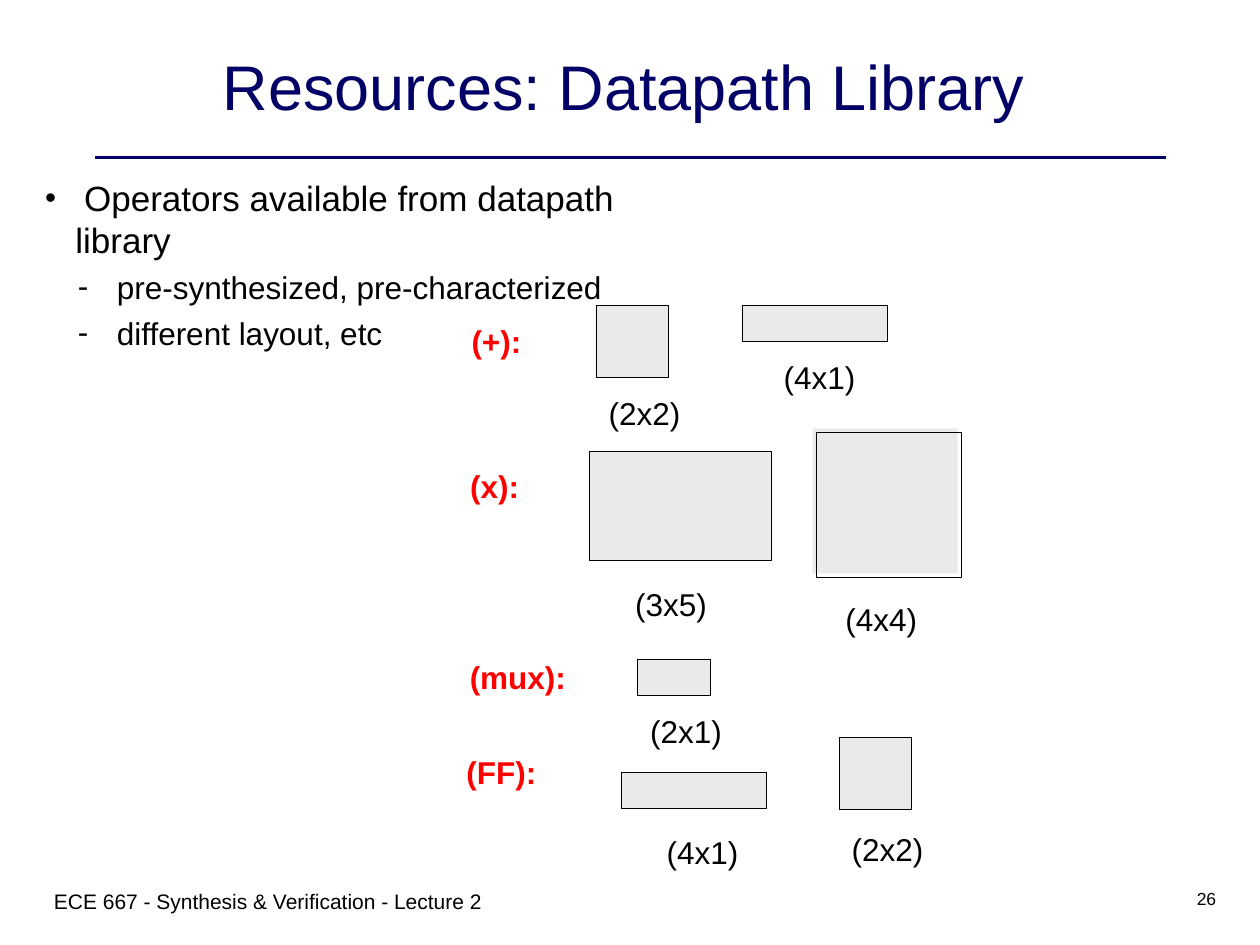
from lxml import etree
from pptx import Presentation
from pptx import util as u
from pptx.dml.color import RGBColor
from pptx.enum import shapes, text
from pptx.oxml import ns

COLOURS = {"navy": "000066", "black": "000000", "red": "FF0000", "tile": "EAEAEA"}
FONT = "Arial"
GRID = 0.1  # inches per column and row: 100 columns by 75 rows
CELL = 14.4 / 5  # grid columns per unit of operator size

# operator: label box, then tiles as (units wide, units high, tile corner,
# caption corner, outline offset), all in grid columns and rows of the region
OPERATORS = {
    "(+):": ((0.4, 1.4, 4), [(2, 2, (10.3, 0), (11.3, 7.1), 0),
                             (4, 1, (21.9, 0), (25.2, 4.2), 0)]),
    "(x):": ((0.3, 12.9, 3.9), [(5, 3, (9.8, 11.6), (13.4, 22.2), 0),
                                (4, 4, (27.5, 9.8), (30.1, 23.4), 0.3)]),
    "(mux):": ((0.2, 28, 7.8), [(2, 1, (13.6, 28.1), (14.6, 32.3), 0)]),
    "(FF):": ((0, 35.6, 5.6), [(4, 1, (12.3, 37.1), (15.9, 41.9), 0),
                               (2, 2, (29.6, 34.3), (30.6, 41.7), 0)]),
}
CAPTIONS = {(5, 3): "(3x5)"}  # the only size named height first


def colour(name):
    return RGBColor.from_string(COLOURS[name])


def grid(*lengths):
    return [u.Inches(length * GRID) for length in lengths]


def add_span(para, words, size, ink="black", bold=False):
    span = para.add_run()
    span.text = words
    span.font.name, span.font.size, span.font.bold = FONT, u.Pt(size), bold
    span.font.color.rgb = colour(ink)


def add_box(page, box, margins=(1, 0.5), wrap=True):
    frame = page.shapes.add_textbox(*grid(*box)).text_frame
    frame.word_wrap = wrap
    frame.margin_left = frame.margin_right = grid(margins[0])[0]
    frame.margin_top = frame.margin_bottom = grid(margins[1])[0]
    return frame


def add_line_of_text(page, box, words, size, ink="black", align=text.PP_ALIGN.LEFT):
    para = add_box(page, box).paragraphs[0]
    para.alignment = align
    add_span(para, words, size, ink)


def add_label(page, box, words, ink="black", bold=False):
    frame = add_box(page, box, (0, 0), wrap=False)
    frame.auto_size = text.MSO_AUTO_SIZE.SHAPE_TO_FIT_TEXT
    para = frame.paragraphs[0]
    para.alignment = text.PP_ALIGN.CENTER
    add_span(para, words, 18, ink, bold)


def add_heading(page, box):
    """Title with the rule that spans the slide below it."""
    left, top, width, height = box
    title = (left + 9.2, top, 71.7, 7)
    add_line_of_text(page, title, "Resources: Datapath Library", 36, "navy")
    bottom = top + height
    rule = page.shapes.add_connector(
        shapes.MSO_CONNECTOR.STRAIGHT, *grid(left, bottom, left + width, bottom))
    rule.line.color.rgb, rule.line.width = colour("navy"), u.Pt(2.25)
    etree.SubElement(rule.element.spPr, ns.qn("a:effectLst"))


def set_bullet(para, mark, margin, hanging):
    properties = para._p.get_or_add_pPr()
    properties.set("marL", str(u.Inches(margin)))
    properties.set("indent", str(-u.Inches(hanging)))
    paint = etree.SubElement(properties, ns.qn("a:buClr"))
    etree.SubElement(paint, ns.qn("a:srgbClr")).set("val", COLOURS["black"])
    etree.SubElement(properties, ns.qn("a:buFont")).set("typeface", FONT)
    etree.SubElement(properties, ns.qn("a:buChar")).set("char", mark)


def add_points(page, box):
    frame = add_box(page, box)
    points = [
        (0, [(" ", 18), ("Operators available from datapath library", 20)]),
        (1, [(" pre-synthesized, pre-characterized", 18)]),
        (1, [(" different layout, etc", 18)]),
    ]
    for index, (level, spans) in enumerate(points):
        para = frame.add_paragraph() if index else frame.paragraphs[0]
        para.level = level
        para.space_before = u.Pt(4.5 if index else 0)
        set_bullet(para, "•-"[level], (0.24, 0.5)[level], 0.24)
        for words, size in spans:
            add_span(para, words, size)


def add_tile(page, corner, size, offset):
    """Grey face with a thin outline, moved by offset."""
    face = page.shapes.add_shape(shapes.MSO_SHAPE.RECTANGLE, *grid(*corner, *size))
    face.fill.solid()
    face.fill.fore_color.rgb = colour("tile")
    face.line.fill.background()
    outline = page.shapes.add_shape(
        shapes.MSO_SHAPE.RECTANGLE, *grid(*(side + offset for side in corner), *size))
    outline.fill.background()
    outline.line.color.rgb, outline.line.width = colour("black"), u.Pt(0.25)
    face.shadow.inherit = outline.shadow.inherit = False


def add_library(page, left, top):
    for name, ((x, y, width), tiles) in OPERATORS.items():
        add_label(page, (left + x, top + y, width, 3), name, "red", True)
        for wide, high, (x, y), (label_x, label_y), offset in tiles:
            add_tile(page, (left + x, top + y), (wide * CELL, high * CELL), offset)
            caption = CAPTIONS.get((wide, high), f"({wide}x{high})")
            add_label(page, (left + label_x, top + label_y, 5.7, 3), caption)


def add_footer(page, box):
    left, top, width, height = box
    add_line_of_text(page, (left, top, 45, height),
                     "ECE 667 - Synthesis & Verification - Lecture 2", 12)
    add_line_of_text(page, (left + width - 20.8, top, 20.8, height), "26", 10,
                     align=text.PP_ALIGN.RIGHT)


def main():
    deck = Presentation()
    deck.slide_width, deck.slide_height = grid(100, 75)
    page = deck.slides.add_slide(deck.slide_layouts[6])
    add_heading(page, (7.5, 3.3, 85, 9.2))
    add_library(page, 37, 24.2)
    add_points(page, (2.6, 13.5, 54.7, 11.6))
    add_footer(page, (3.3, 70, 94.2, 5))
    deck.save("out.pptx")


if __name__ == "__main__":
    main()
